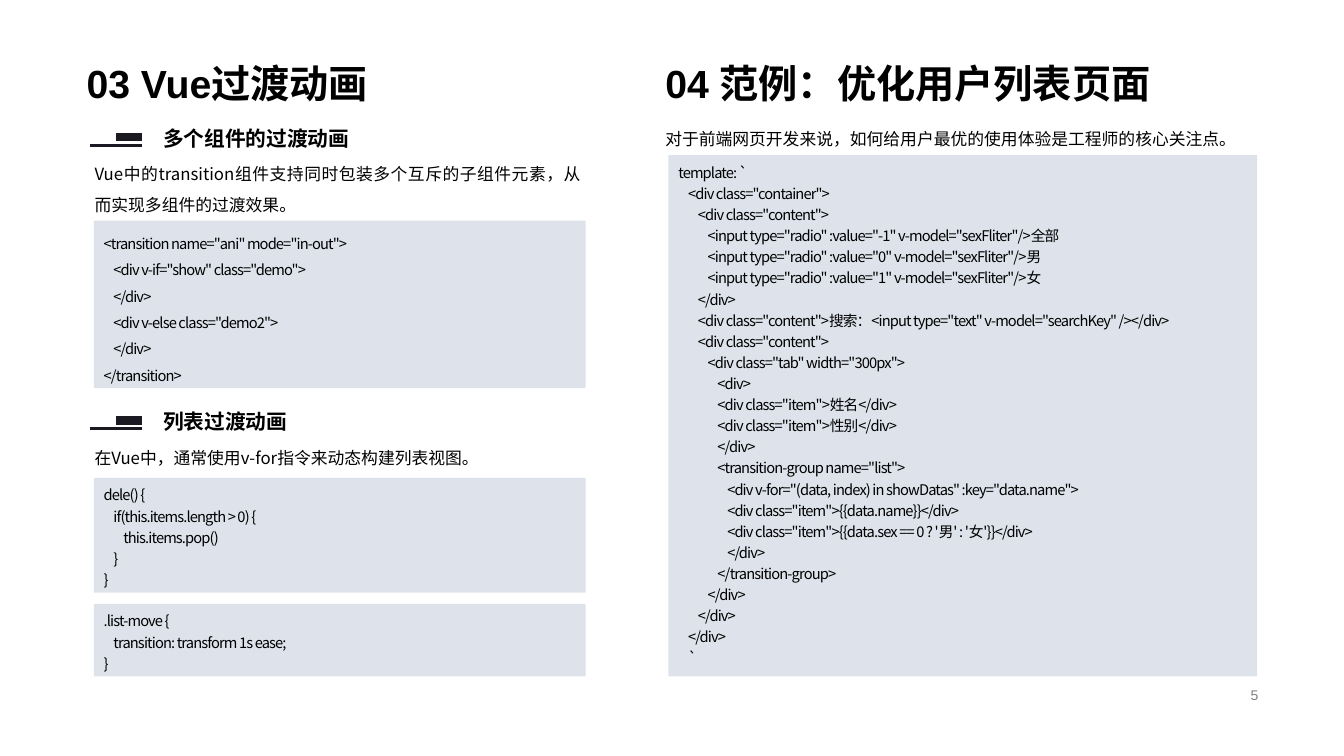
from lxml import etree
from pptx import Presentation
from pptx.dml.color import RGBColor
from pptx.enum.shapes import MSO_CONNECTOR, MSO_SHAPE
from pptx.enum.text import MSO_ANCHOR, PP_ALIGN
from pptx.oxml.ns import qn
from pptx.util import Inches, Pt

BLACK = RGBColor(0x00, 0x00, 0x00)
GRAY = RGBColor(0x80, 0x80, 0x80)
INK = RGBColor(0x1B, 0x1A, 0x22)
PANEL = RGBColor(0xDE, 0xE3, 0xEB)
LATIN, CJK = "Arial", "Noto Sans CJK SC"
LEFT, RIGHT, JUSTIFY = PP_ALIGN.LEFT, PP_ALIGN.RIGHT, PP_ALIGN.JUSTIFY
TOP, MIDDLE, BOTTOM = MSO_ANCHOR.TOP, MSO_ANCHOR.MIDDLE, MSO_ANCHOR.BOTTOM
RECTANGLE, STRAIGHT = MSO_SHAPE.RECTANGLE, MSO_CONNECTOR.STRAIGHT
CODE_INDENT = 0.097

# (left, text)
TITLES = [(0.76, "03 Vue过渡动画"), (6.5, "04 范例：优化用户列表页面")]
# (top, text)
HEADINGS = [(1.2, "多个组件的过渡动画"), (4.01, "列表过渡动画")]
# (left, top, width, height, text)
BODIES = [
    (0.84, 1.48, 5.02, 0.67,
     "Vue中的transition组件支持同时包装多个互斥的子组件元素，从而实现多组件的过渡效果。"),
    (0.84, 4.29, 5.02, 0.37, "在Vue中，通常使用v-for指令来动态构建列表视图。"),
    (6.5, 1.13, 6, 0.37, "对于前端网页开发来说，如何给用户最优的使用体验是工程师的核心关注点。"),
]
# Each code line is (depth, text)
TRANSITION_CODE = [
    (0, '<transition name="ani" mode="in-out">'),
    (1, '<div v-if="show" class="demo">'),
    (1, "</div>"),
    (1, '<div v-else class="demo2">'),
    (1, "</div>"),
    (0, "</transition>"),
]
DELETE_CODE = [
    (0, "dele() {"),
    (1, "if(this.items.length > 0) {"),
    (2, "this.items.pop()"),
    (1, "}"),
    (0, "}"),
]
MOVE_CODE = [
    (0, ".list-move {"),
    (1, "transition: transform 1s ease;"),
    (0, "}"),
]
TEMPLATE_CODE = [
    (0, "template: `"),
    (1, '<div class="container">'),
    (2, '<div class="content">'),
    (3, '<input type="radio" :value="-1" v-model="sexFliter"/>全部'),
    (3, '<input type="radio" :value="0" v-model="sexFliter"/>男'),
    (3, '<input type="radio" :value="1" v-model="sexFliter"/>女'),
    (2, "</div>"),
    (2, '<div class="content">搜索：<input type="text" v-model="searchKey" /></div>'),
    (2, '<div class="content">'),
    (3, '<div class="tab" width="300px">'),
    (4, "<div>"),
    (4, '<div class="item">姓名</div>'),
    (4, '<div class="item">性别</div>'),
    (4, "</div>"),
    (4, '<transition-group name="list">'),
    (5, '<div v-for="(data, index) in showDatas" :key="data.name">'),
    (5, '<div class="item">{{data.name}}</div>'),
    (5, "<div class=\"item\">{{data.sex == 0 ? '男' : '女'}}</div>"),
    (5, "</div>"),
    (4, "</transition-group>"),
    (3, "</div>"),
    (2, "</div>"),
    (1, "</div>"),
    (1, "`"),
]
# (left, top, width, height, line spacing, lines)
CODE_PANELS = [
    (0.93, 2.19, 4.88, 1.66, 1.5, TRANSITION_CODE),
    (0.93, 4.74, 4.88, 1.14, 1.2, DELETE_CODE),
    (0.93, 5.99, 4.88, 0.72, 1.2, MOVE_CODE),
    (6.63, 1.54, 5.84, 5.17, 1.2, TEMPLATE_CODE),
]


def style(para, size, face, color=BLACK, bold=False, align=LEFT, spacing=1.0):
    para.alignment = align
    para.line_spacing = spacing
    font = para.font
    font.size, font.name, font.bold = Pt(size), face, bold
    font.color.rgb = color
    properties = para._p.get_or_add_pPr().find(qn("a:defRPr"))
    etree.SubElement(properties, qn("a:ea")).set("typeface", CJK)
    return properties


def add_text(page, left, top, width, height, text, anchor=TOP, **look):
    box = page.shapes.add_textbox(
        Inches(left), Inches(top), Inches(width), Inches(height))
    frame = box.text_frame
    frame.word_wrap = True
    frame.vertical_anchor = anchor
    frame.text = text
    style(frame.paragraphs[0], **look)


def add_rule(page, start, end, y, weight):
    rule = page.shapes.add_connector(
        STRAIGHT, Inches(start), Inches(y), Inches(end), Inches(y))
    rule.line.color.rgb = INK
    rule.line.width = Pt(weight)
    etree.SubElement(rule._element.spPr, qn("a:effectLst"))


def add_heading(page, top, text):
    add_text(page, 1.52, top, 3.46, 0.34, text, MIDDLE,
             size=14.8, face=LATIN, bold=True)
    add_rule(page, 1.15, 1.41, top + 0.16, 6)
    add_rule(page, 0.89, 1.41, top + 0.24, 2.25)


def add_code(page, left, top, width, height, spacing, lines):
    panel = page.shapes.add_shape(
        RECTANGLE, Inches(left), Inches(top), Inches(width), Inches(height))
    panel.shadow.inherit = False
    panel.fill.solid()
    panel.fill.fore_color.rgb = PANEL
    panel.line.fill.background()
    frame = panel.text_frame
    frame.word_wrap = True
    frame.vertical_anchor = TOP
    frame.text = "\n".join(text for _, text in lines)
    for para, (depth, _) in zip(frame.paragraphs, lines):
        properties = style(para, 10.5, CJK, align=JUSTIFY, spacing=spacing)
        properties.set("spc", "-60")
        para._p.pPr.set("marL", str(Inches(depth * CODE_INDENT)))


def main():
    deck = Presentation()
    deck.slide_width, deck.slide_height = Inches(13.33), Inches(7.5)
    page = deck.slides.add_slide(deck.slide_layouts[6])
    for left, text in TITLES:
        add_text(page, left, 0.08, 5.42, 1.03, text, BOTTOM,
                 size=28, face=LATIN, bold=True, spacing=0.9)
    for panel in CODE_PANELS:
        add_code(page, *panel)
    for body in BODIES:
        add_text(page, *body, size=12, face=CJK, align=JUSTIFY, spacing=1.5)
    for heading in HEADINGS:
        add_heading(page, *heading)
    add_text(page, 9.42, 6.78, 3.16, 0.23, "5", MIDDLE,
             size=10, face=LATIN, color=GRAY, align=RIGHT)
    deck.save("out.pptx")


if __name__ == "__main__":
    main()
